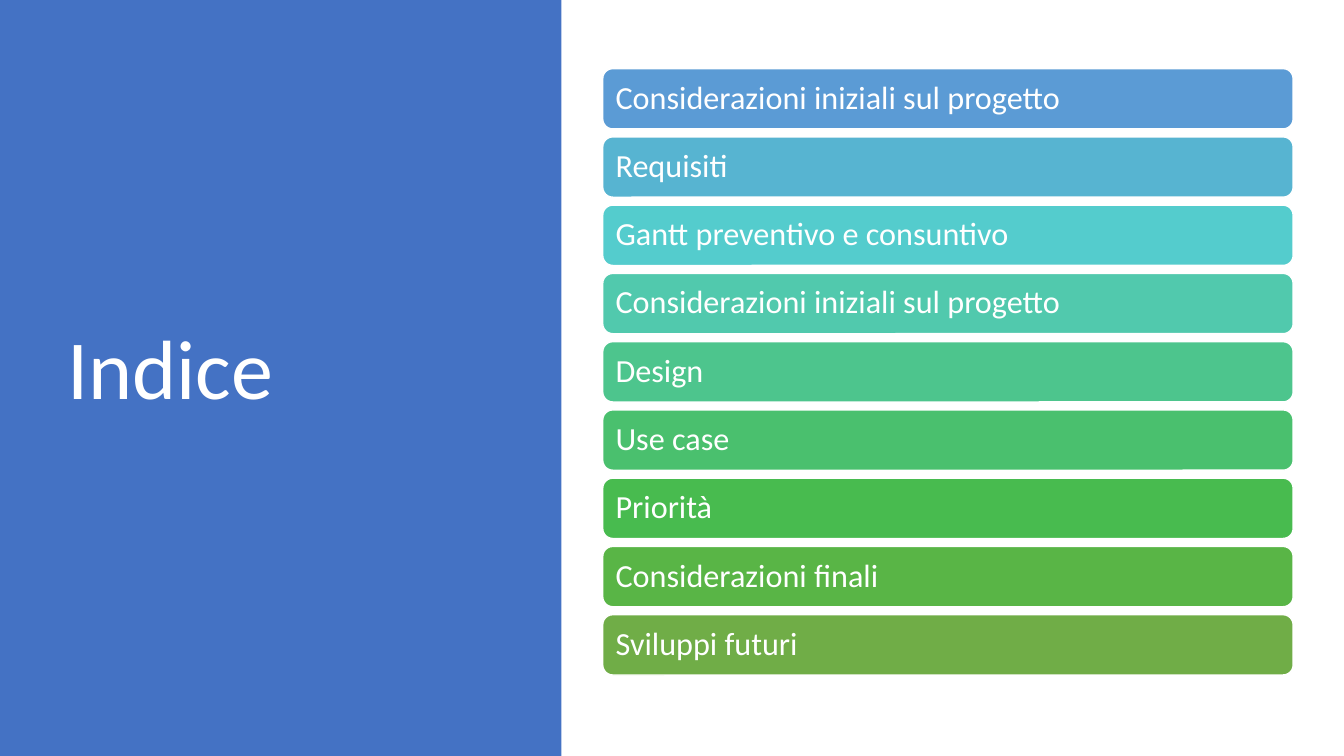
from dataclasses import dataclass

from pptx import Presentation
from pptx.dml.color import RGBColor
from pptx.enum.shapes import MSO_SHAPE
from pptx.enum.text import MSO_ANCHOR, MSO_AUTO_SIZE, PP_ALIGN
from pptx.util import Cm, Pt

TITLE = "Indice"
TOPICS = [
    ("Considerazioni iniziali sul progetto", "5B9BD5"),
    ("Requisiti", "57B4D1"),
    ("Gantt preventivo e consuntivo", "54CCCD"),
    ("Considerazioni iniziali sul progetto", "51C9AD"),
    ("Design", "4DC58D"),
    ("Use case", "4AC06E"),
    ("Priorità", "48BB4F"),
    ("Considerazioni finali", "59B546"),
    ("Sviluppi futuri", "70AD47"),
]


@dataclass(frozen=True)
class Theme:
    font: str = "Calibri"
    panel: str = "4472C4"
    white: str = "FFFFFF"
    title_size: int = 60
    topic_size: int = 23


THEME = Theme()
SLIDE_WIDTH, SLIDE_HEIGHT = Cm(33.87), Cm(19.05)
PANEL_WIDTH = Cm(14.15)
TITLE_BOX = {"left": Cm(1.45), "top": Cm(1.73), "width": Cm(10.57), "height": Cm(15.29)}
BAR_LEFT, BAR_TOP = Cm(15.19), Cm(1.73)
BAR_WIDTH, BAR_HEIGHT, BAR_GAP = Cm(17.4), Cm(1.52), Cm(0.2)
TEXT_INSET = Cm(0.25)
FRAME_FORMAT = {
    "word_wrap": True,
    "auto_size": MSO_AUTO_SIZE.NONE,
    "vertical_anchor": MSO_ANCHOR.MIDDLE,
    "margin_left": TEXT_INSET,
    "margin_top": TEXT_INSET,
    "margin_right": TEXT_INSET,
    "margin_bottom": TEXT_INSET,
}
PARAGRAPH_FORMAT = {"alignment": PP_ALIGN.LEFT, "line_spacing": 0.9}


def apply_format(target, values):
    for name, value in values.items():
        setattr(target, name, value)


def write_text(shape, text, size):
    frame = shape.text_frame
    frame.text = text
    apply_format(frame, FRAME_FORMAT)
    paragraph = frame.paragraphs[0]
    apply_format(paragraph, PARAGRAPH_FORMAT)
    font = paragraph.runs[0].font
    apply_format(font, {"name": THEME.font, "size": Pt(size)})
    font.color.rgb = RGBColor.from_string(THEME.white)


def add_block(slide, kind, box, color):
    shape = slide.shapes.add_shape(kind, *box)
    shape.shadow.inherit = False
    shape.fill.solid()
    shape.fill.fore_color.rgb = RGBColor.from_string(color)
    return shape


def add_title(slide):
    panel = add_block(
        slide, MSO_SHAPE.RECTANGLE, (0, 0, PANEL_WIDTH, SLIDE_HEIGHT), THEME.panel
    )
    panel.line.fill.background()
    title = slide.shapes.title
    title.element.addprevious(panel.element)
    apply_format(title, TITLE_BOX)
    write_text(title, TITLE, THEME.title_size)


def add_topics(slide):
    for index, (topic, color) in enumerate(TOPICS):
        top = BAR_TOP + index * (BAR_HEIGHT + BAR_GAP)
        box = (BAR_LEFT, top, BAR_WIDTH, BAR_HEIGHT)
        bar = add_block(slide, MSO_SHAPE.ROUNDED_RECTANGLE, box, color)
        bar.line.color.rgb = RGBColor.from_string(THEME.white)
        bar.line.width = Pt(1)
        write_text(bar, topic, THEME.topic_size)


def main():
    presentation = Presentation()
    apply_format(
        presentation, {"slide_width": SLIDE_WIDTH, "slide_height": SLIDE_HEIGHT}
    )
    slide = presentation.slides.add_slide(presentation.slide_layouts[5])
    add_title(slide)
    add_topics(slide)
    presentation.save("out.pptx")


if __name__ == "__main__":
    main()
